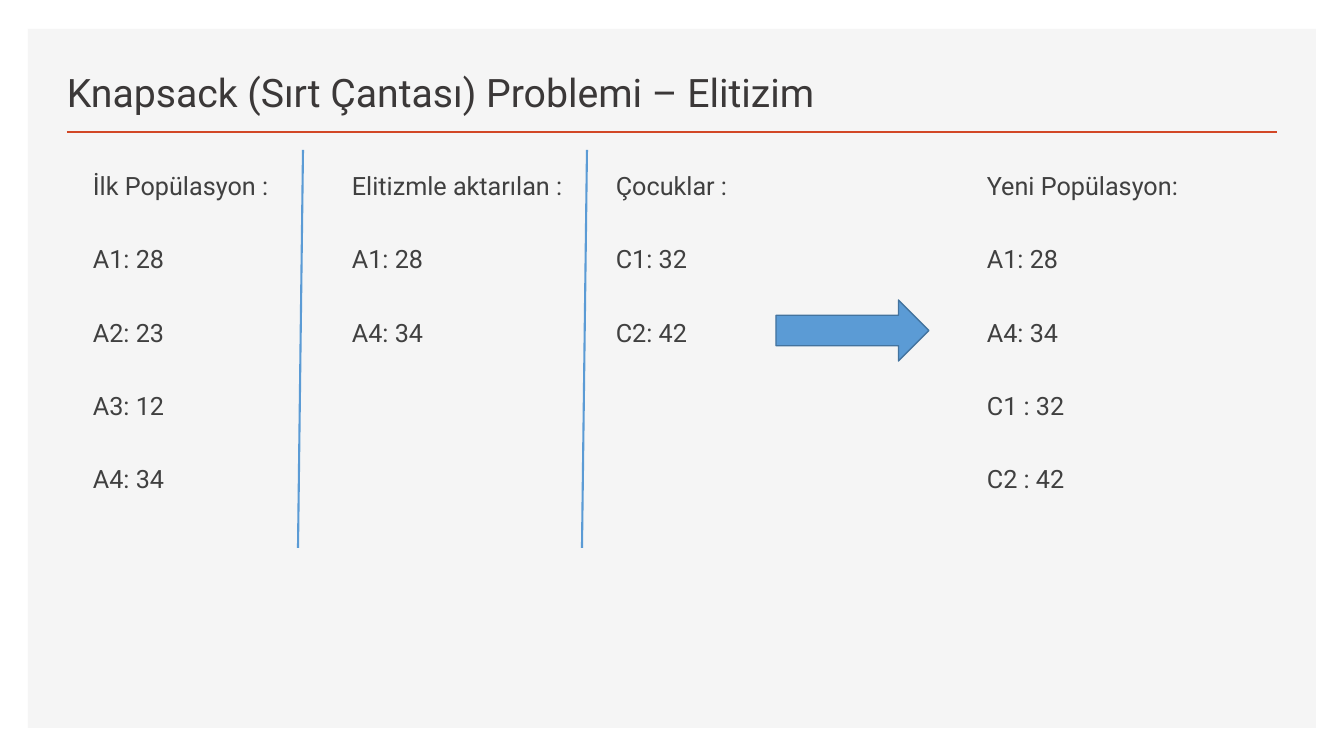
from pptx import Presentation
from pptx.dml.color import RGBColor as RGB
from pptx.enum.shapes import MSO_CONNECTOR as CONN, MSO_SHAPE as SHAPE
from pptx.enum.text import MSO_ANCHOR as ANCHOR
from pptx.oxml.ns import qn
from pptx.util import Emu, Pt
from lxml import etree

C = {"panel": "F5F5F5", "rule": "D24726", "title": "3B3838",
     "text": "404040", "blue": "5B9BD5", "edge": "43739E"}
BODY = {"line_spacing": 1.5, "space_before": Pt(10), "space_after": Pt(10)}


def px(*vals):
    return [Emu(round(v * 914400 / 100.8)) for v in vals]


def add_text(box, lines, size, color, anchor, para):
    tf = s.shapes.add_textbox(*px(*box)).text_frame
    tf.word_wrap = True
    tf.vertical_anchor = anchor
    for i, line in enumerate(lines):
        p = tf.paragraphs[0] if i == 0 else tf.add_paragraph()
        for name, val in para.items():
            setattr(p, name, val)
        r = p.add_run()
        r.text = line
        for name, val in {"name": "Roboto", "size": Pt(size)}.items():
            setattr(r.font, name, val)
        r.font.color.rgb = RGB.from_string(C[color])


prs = Presentation()
prs.slide_width, prs.slide_height = px(1344, 756)
s = prs.slides.add_slide(prs.slide_layouts[6])

for kind, box, fill, edge in [
    (SHAPE.RECTANGLE, (28, 29, 1288, 699), "panel", None),
    (SHAPE.RIGHT_ARROW, (776, 300, 153, 61), "blue", "edge"),
]:
    sp = s.shapes.add_shape(kind, *px(*box))
    sp.shadow.inherit = False
    sp.fill.solid()
    sp.fill.fore_color.rgb = RGB.from_string(C[fill])
    if edge:
        sp.line.color.rgb = RGB.from_string(C[edge])
        sp.line.width = Pt(1)
    else:
        sp.line.fill.background()

for ends, color, width in [
    ((67, 132, 1277, 132), "rule", 2),
    ((303, 150, 298, 548), "blue", 1.5),
    ((587, 150, 582, 548), "blue", 1.5),
]:
    ln = s.shapes.add_connector(CONN.STRAIGHT, *px(*ends))
    ln.line.color.rgb = RGB.from_string(C[color])
    ln.line.width = Pt(width)
    etree.SubElement(ln._element.spPr, qn("a:effectLst"))

add_text((57, 49, 1113, 71), ["Knapsack (Sırt Çantası) Problemi – Elitizim"],
         28, "title", ANCHOR.BOTTOM, {})

for x, lines in [
    (83, ["İlk Popülasyon :", "A1: 28", "A2: 23", "A3: 12", "A4: 34"]),
    (342, ["Elitizmle aktarılan :", "A1: 28", "A4: 34"]),
    (606, ["Çocuklar :", "C1: 32", "C2: 42"]),
    (977, ["Yeni Popülasyon:", "A1: 28", "A4: 34", "C1 : 32", "C2 : 42"]),
]:
    add_text((x, 150, 244, 579), lines, 18, "text", ANCHOR.TOP, BODY)

prs.save("out.pptx")
